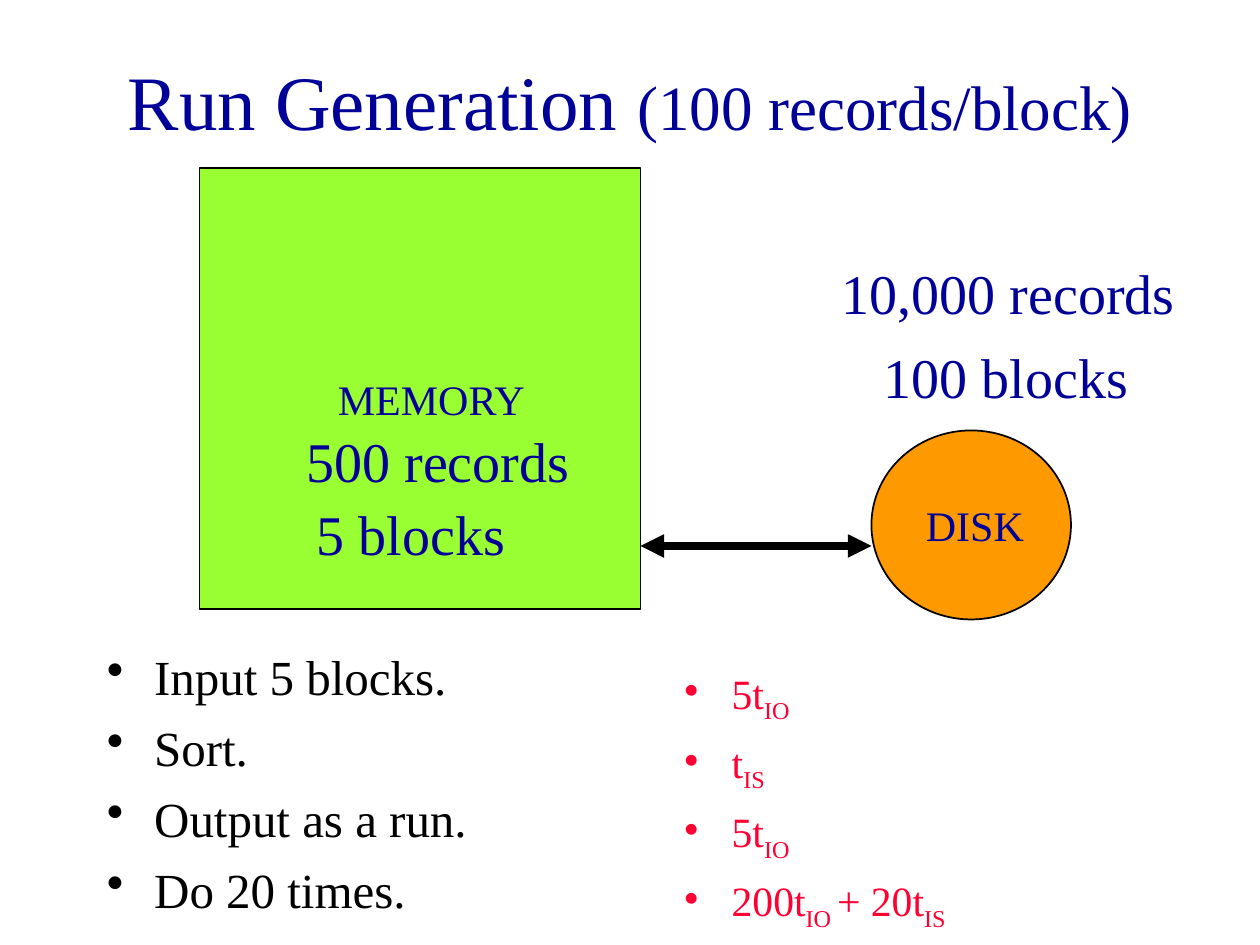
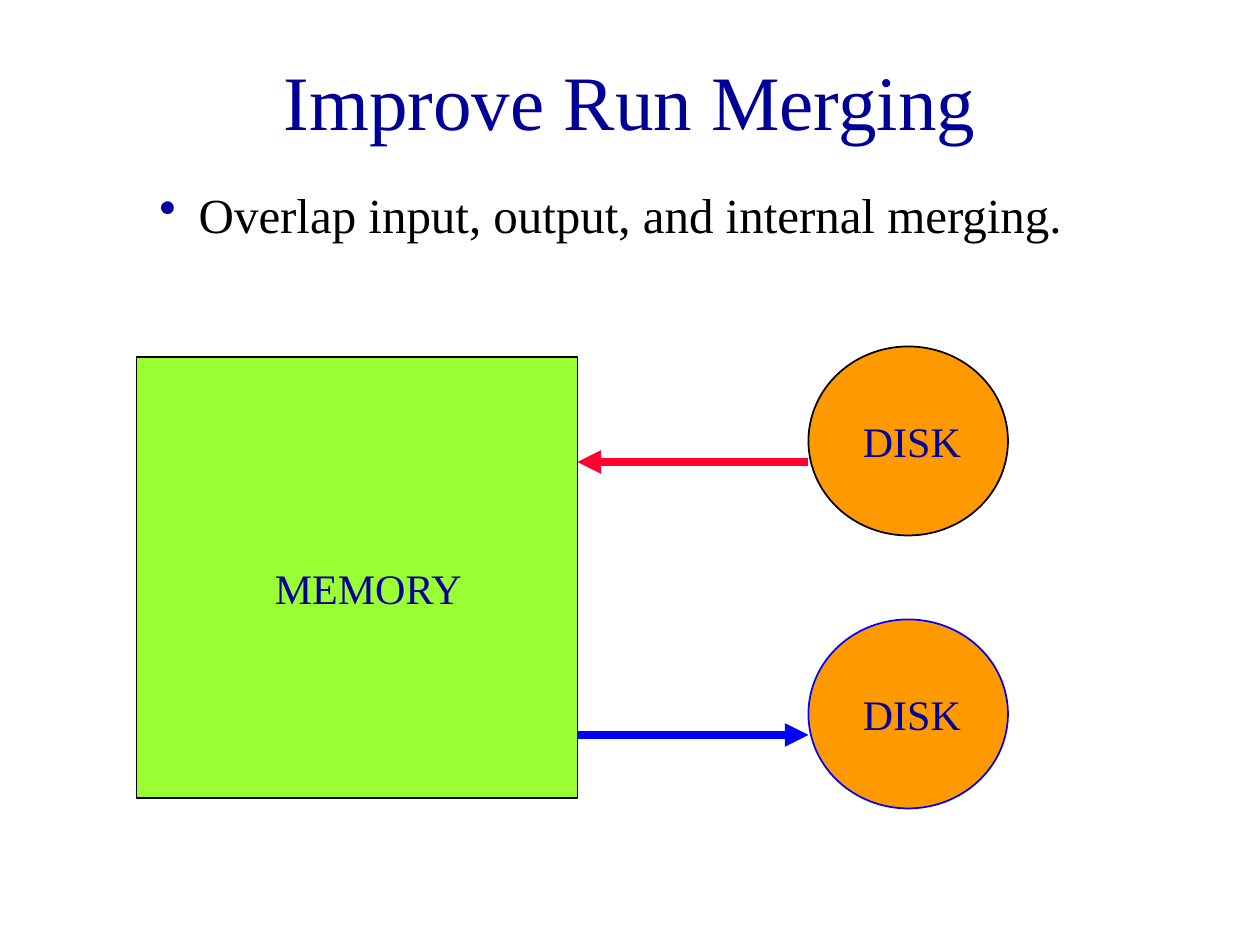
from lxml import etree
from pptx import Presentation
from pptx.dml.color import RGBColor
from pptx.enum.shapes import MSO_CONNECTOR, MSO_SHAPE
from pptx.enum.text import MSO_ANCHOR, MSO_AUTO_SIZE, PP_ALIGN
from pptx.oxml.ns import qn
from pptx.util import Pt

# Shared look
NAVY = RGBColor(0x00, 0x00, 0x99)
BLACK = RGBColor(0x00, 0x00, 0x00)
RED = RGBColor(0xFF, 0x00, 0x33)
BLUE = RGBColor(0x00, 0x00, 0xFF)
GREEN = RGBColor(0x99, 0xFF, 0x33)
ORANGE = RGBColor(0xFF, 0x99, 0x00)
FACE = "Times New Roman"

RECT, OVAL = MSO_SHAPE.RECTANGLE, MSO_SHAPE.OVAL
LINE = MSO_CONNECTOR.STRAIGHT
CENTER, MIDDLE = PP_ALIGN.CENTER, MSO_ANCHOR.MIDDLE
GROW = MSO_AUTO_SIZE.SHAPE_TO_FIT_TEXT

# Sizes in points
MEMORY = 252
DISK = (114, 108)
GAP = 132


def add_run(para, text, size, color):
    run = para.add_run()
    run.text = text
    form = {"name": FACE, "size": Pt(size)}
    for key, value in form.items():
        setattr(run.font, key, value)
    run.font.color.rgb = color
    return run


def add_box(shapes, area, **form):
    box = shapes.add_textbox(*map(Pt, area))
    frame = box.text_frame
    frame.word_wrap = True
    for key, value in form.items():
        setattr(frame, key, value)
    return frame


def add_title(slide, *runs):
    frame = add_box(slide.shapes, (54, 12, 612, 90), vertical_anchor=MIDDLE)
    para = frame.paragraphs[0]
    para.alignment = CENTER
    for text, size in runs:
        add_run(para, text, size, NAVY)


def add_label(shapes, text, left, top, width, size=32):
    height = 46 if size == 32 else 36
    para = add_box(shapes, (left, top, width, height), auto_size=GROW).paragraphs[0]
    para.space_before = Pt(20 if size == 32 else 15)
    add_run(para, text, size, NAVY)


def set_bullet(para, color, left, hang):
    props = para._p.get_or_add_pPr()
    props.set("marL", str(Pt(left)))
    props.set("indent", str(-Pt(hang)))
    tint = etree.SubElement(props, qn("a:buClr"))
    etree.SubElement(tint, qn("a:srgbClr"), val=str(color))
    etree.SubElement(props, qn("a:buChar"), char="\u2022")


def add_list(slide, area, items, size=28, color=BLACK, dot=BLACK, left=27, hang=27, level=0):
    """Each item is a tuple whose every second part is a subscript."""
    frame = add_box(slide.shapes, area)
    for row, parts in enumerate(items):
        para = frame.add_paragraph() if row else frame.paragraphs[0]
        para.level = level
        para.space_before = Pt(7)
        set_bullet(para, dot, left, hang)
        for spot, text in enumerate(parts):
            run = add_run(para, text, size, color)
            if spot % 2:
                run.font._element.set("baseline", "-25000")


def add_block(shapes, kind, area, fill, edge=BLACK):
    block = shapes.add_shape(kind, *map(Pt, area))
    block.shadow.inherit = False
    block.fill.solid()
    block.fill.fore_color.rgb = fill
    block.line.color.rgb = edge
    block.line.width = Pt(1)


def add_memory(shapes, left, top):
    add_block(shapes, RECT, (left, top, MEMORY, MEMORY), GREEN)
    add_label(shapes, "MEMORY", left + 72, top + 114, 126, 24)


def add_disk(shapes, left, top, edge=BLACK):
    add_block(shapes, OVAL, (left, top, *DISK), ORANGE, edge)
    add_label(shapes, "DISK", left + 24, top + 36, 96, 24)


def add_arrow(shapes, left, top, color, *ends):
    arrow = shapes.add_connector(LINE, Pt(left), Pt(top), Pt(left + GAP), Pt(top))
    arrow.line.color.rgb = color
    arrow.line.width = Pt(4.5)
    props = arrow._element.spPr
    for end in ends:
        etree.SubElement(props.find(qn("a:ln")), qn("a:" + end), type="triangle")
    etree.SubElement(props, qn("a:effectLst"))


def make_runs(slide):
    add_title(slide, ("Run Generation ", 44), ("(100 records/block)", 36))

    # Steps and their costs
    steps = ("Input 5 blocks.", "Sort.", "Output as a run.", "Do 20 times.")
    add_list(slide, (54, 366, 300, 174), [(step,) for step in steps])
    costs = [("5t", "IO"), ("t", "IS"), ("5t", "IO"), ("200t", "IO ", "+ 20t", "IS")]
    add_list(slide, (384, 378, 300, 162), costs, 23.8, RED, RED)

    # Memory and disk
    left, top = 114, 96
    right = left + MEMORY
    group = slide.shapes.add_group_shape().shapes
    add_memory(group, left, top)
    add_disk(group, right + GAP, top + 150)
    add_arrow(group, right, top + 216, BLACK, "headEnd", "tailEnd")

    # Amounts
    for amount in (
        ("500 records", 168, 240, 180),
        ("10,000 records", 474, 144, 246),
        ("5 blocks", 174, 282, 138),
        ("100 blocks", 498, 192, 168),
    ):
        add_label(slide.shapes, *amount)


def make_merge(slide):
    add_title(slide, ("Improve Run Merging", 44))
    add_list(slide, (48, 102, 612, 48), [("Overlap input, output, and internal merging.",)],
             dot=NAVY, left=58.5, hang=22.5, level=1)

    # Memory between an input disk and an output disk
    left, top = 78, 204
    right = left + MEMORY
    group = slide.shapes.add_group_shape().shapes
    add_memory(group, left, top)
    for shift, edge, color, end in (
        (150, BLUE, BLUE, "tailEnd"),
        (-6, BLACK, RED, "headEnd"),
    ):
        add_disk(group, right + GAP, top + shift, edge)
        add_arrow(group, right, top + shift + 66, color, end)


def main():
    deck = Presentation()
    deck.slide_width, deck.slide_height = Pt(720), Pt(540)
    blank = deck.slide_layouts[6]
    for make in (make_runs, make_merge):
        make(deck.slides.add_slide(blank))
    deck.save("out.pptx")


main()
